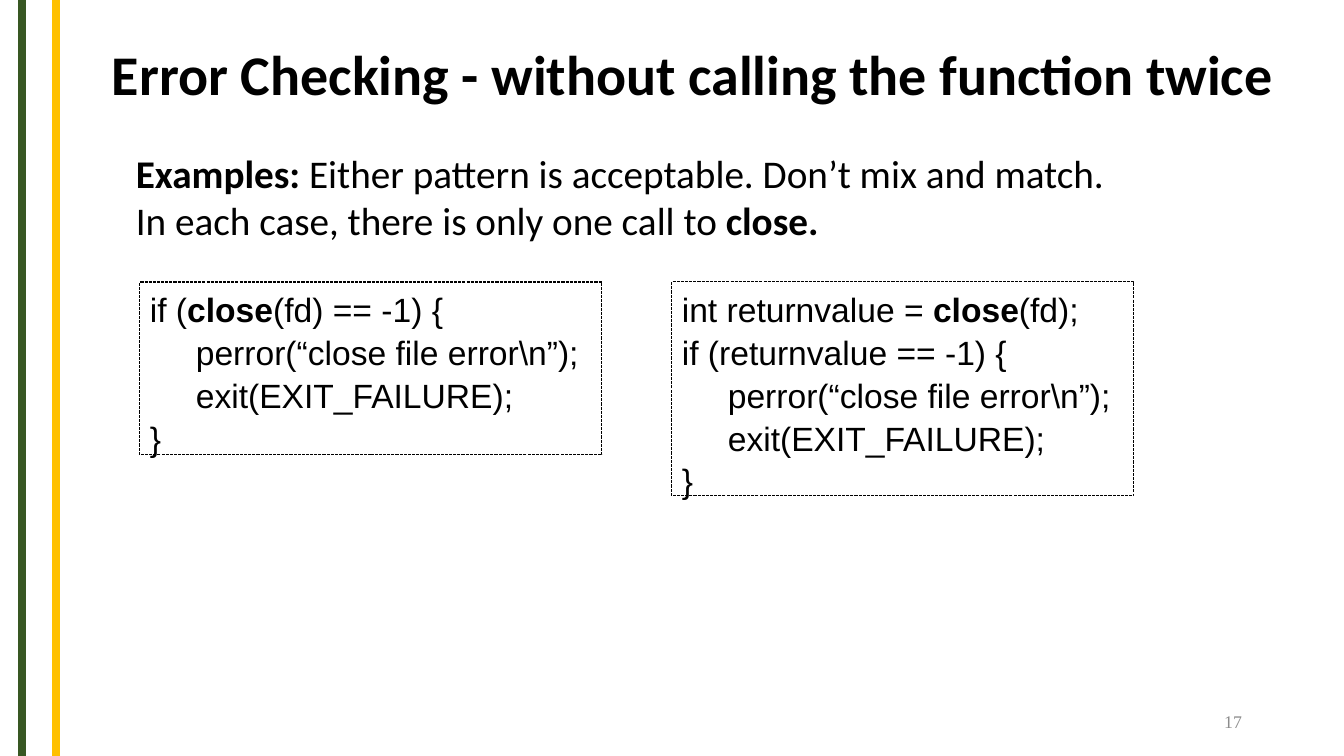
import pptx
import pptx.util
import pptx.dml.color
import pptx.enum.dml
import pptx.enum.shapes
import pptx.enum.text
import pptx.oxml.ns
import lxml.etree

SCALE = 914400 / 100.8
BLACK = pptx.dml.color.RGBColor(0x00, 0x00, 0x00)
GREY = pptx.dml.color.RGBColor(0x8C, 0x8C, 0x8C)
GREEN = pptx.dml.color.RGBColor(0x38, 0x57, 0x23)
GOLD = pptx.dml.color.RGBColor(0xFF, 0xC0, 0x00)
ANCHOR = pptx.enum.text.MSO_ANCHOR
ALIGN = pptx.enum.text.PP_ALIGN
CODE_INDENT = 46


def emu(*pixels):
    return [round(value * SCALE) for value in pixels]


def write_text(box, text, size=24, font="Calibri", color=BLACK, align=ALIGN.LEFT,
               anchor=ANCHOR.TOP, spacing=1.0):
    """Lines split at newlines, a leading tab indents, ** switches bold."""
    frame = box.text_frame
    frame.word_wrap = True
    frame.vertical_anchor = anchor
    for index, line in enumerate(text.split("\n")):
        para = frame.paragraphs[0] if index == 0 else frame.add_paragraph()
        para.alignment = align
        para.line_spacing = spacing
        if line.startswith("\t"):
            para._p.get_or_add_pPr().set("marL", str(emu(CODE_INDENT)[0]))
        for part, words in enumerate(line.strip("\t").split("**")):
            if words:
                span = para.add_run()
                span.text = words
                span.font.name = font
                span.font.size = pptx.util.Pt(size)
                span.font.color.rgb = color
                span.font.bold = part % 2 == 1


deck = pptx.Presentation()
deck.slide_width, deck.slide_height = emu(1344, 756)
page = deck.slides.add_slide(deck.slide_layouts[6])

# Vertical stripes on the left
for x, color in ((22, GREEN), (56, GOLD)):
    stripe = page.shapes.add_connector(
        pptx.enum.shapes.MSO_CONNECTOR.STRAIGHT, *emu(x, 0, x, 756))
    stripe.line.color.rgb = color
    stripe.line.width = pptx.util.Pt(6)
    lxml.etree.SubElement(stripe._element.spPr, pptx.oxml.ns.qn("a:effectLst"))

# Title
title = page.shapes.add_textbox(*emu(102, 27, 1192, 101))
write_text(title, "**Error Checking - without calling the function twice**",
           size=40, anchor=ANCHOR.MIDDLE, spacing=0.9)

# Introduction
intro = page.shapes.add_textbox(*emu(126, 144, 1046, 105))
write_text(intro, "**Examples: **Either pattern is acceptable. Don’t mix and match. \n"
                  "In each case, there is only one call to **close.**", size=28)

# Code boxes, sharing the same error handling
handler = "\n\tperror(“close file error\\n”);\n\texit(EXIT_FAILURE);\n}"
patterns = (
    (140, 173, "if (**close**(fd) == -1) {"),
    (672, 214, "int returnvalue = **close**(fd);\nif (returnvalue == -1) {"),
)
for left, height, opening in patterns:
    code = page.shapes.add_shape(
        pptx.enum.shapes.MSO_SHAPE.RECTANGLE, *emu(left, 282, 462, height))
    code.shadow.inherit = False
    code.fill.background()
    code.line.color.rgb = BLACK
    code.line.width = pptx.util.Pt(0.75)
    code.line.dash_style = pptx.enum.dml.MSO_LINE.SQUARE_DOT
    write_text(code, opening + handler, font="Arial", spacing=1.06)

# Page number
number = page.shapes.add_textbox(*emu(950, 701, 302, 40))
write_text(number, "17", size=12.7, font="Times New Roman", color=GREY,
           align=ALIGN.RIGHT, anchor=ANCHOR.MIDDLE)

deck.save("out.pptx")
